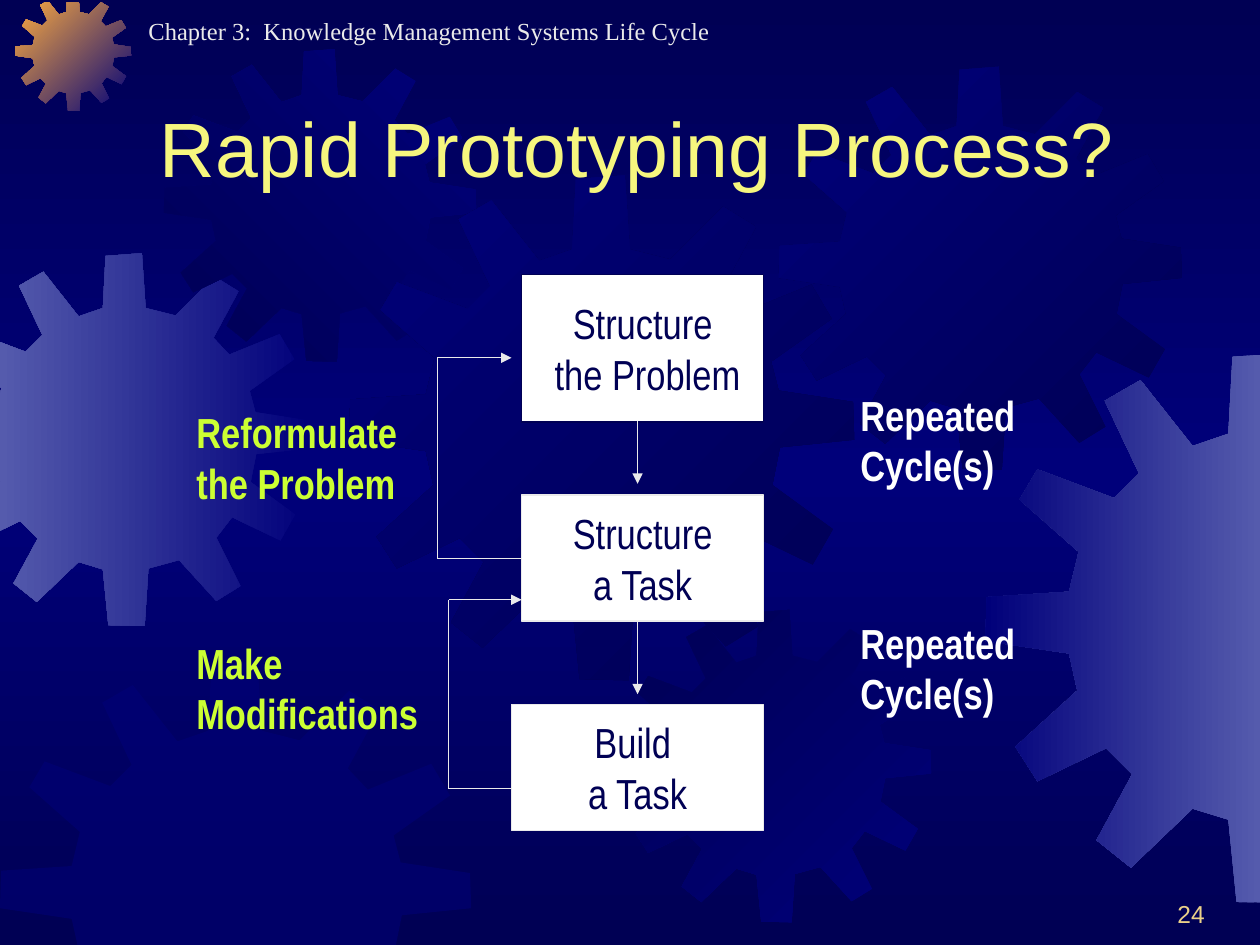
from copy import deepcopy
from lxml.etree import SubElement
from pptx import Presentation
from pptx.dml.color import RGBColor
from pptx.enum.shapes import MSO_CONNECTOR, MSO_SHAPE
from pptx.enum.text import MSO_ANCHOR, PP_ALIGN
from pptx.oxml.ns import qn
from pptx.util import Inches, Pt

THEME = {
    "navy": "000054", "blue": "00007A", "haze": "555BAD", "gold": "FCAB40",
    "white": "FFFFFF", "pale": "EAEAEA", "lemon": "F6F67E", "lime": "CCFF33",
    "sand": "EBD189", "rule": Pt(0.75),
}
STYLE = {
    "head": {"name": "Times New Roman", "size": Pt(14), "color": "pale"},
    "title": {"name": "Arial", "size": Pt(44), "color": "lemon"},
    "step": {"name": "Arial Narrow", "size": Pt(24), "color": "navy"},
    "loop": {"name": "Arial Narrow", "size": Pt(24), "bold": True, "color": "lime"},
    "cycle": {"name": "Arial Narrow", "size": Pt(24), "bold": True, "color": "white"},
    "page": {"name": "Arial", "size": Pt(14), "color": "sand"},
}
SIZE = (10, 7.5)
EDGES = ((0, 0, 1), (0, 10, -1), (1, 0.02, 1), (1, 7.5, -1))
SPAN = 401
GEAR = [
    (255, 67), (223, 59), (219, 0), (180, 3), (177, 59), (151, 68),
    (113, 20), (87, 35), (112, 88), (94, 106), (38, 85), (25, 107),
    (68, 145), (61, 174), (1, 178), (0, 210), (61, 219), (67, 246),
    (22, 287), (38, 312), (88, 288), (107, 307), (81, 355), (106, 375),
    (151, 332), (177, 340), (183, 400), (222, 401), (226, 339), (259, 330),
    (299, 374), (325, 358), (299, 306), (316, 284), (368, 309), (384, 281),
    (336, 246), (342, 216), (401, 210), (400, 180), (341, 171), (335, 148),
    (383, 114), (367, 87), (313, 109), (296, 91), (323, 41), (297, 25),
]
GEARS = [
    (-0.49, 2.01, 2.96, ("blue", "haze"), 180),
    (0.12, -0.04, 0.92, ("blue", "gold"), 135),
    (1.3, 0.39, 2.48, ("blue", "navy"), 225),
    (2.77, 1.39, 4.01, ("navy", "blue"), 135),
    (0, 5.25, 3.74, ("blue",), None),
    (4.91, 4.84, 2.48, ("blue", "navy"), 135),
    (6.18, 0.53, 3.2, ("navy", "blue"), 135),
    (7.82, 2.8, 4.37, ("haze", "blue"), 180),
]
STEPS = [
    (("Structure", " the Problem"), (4.14, 2.18, 1.92, 1.17), "navy"),
    (("Structure", "a Task"), (4.14, 3.93, 1.92, 1), "pale"),
    (("Build ", "a Task"), (4.06, 5.59, 2, 1), "pale"),
]
LOOPS = [(4.14, 4.43, 3.47, 2.84, 4.06), (4.06, 6.26, 3.56, 4.76, 4.14)]
DROPS = [(5.06, 3.34, 3.84), (5.06, 4.93, 5.51)]
LABELS = [
    (("Chapter 3:  Knowledge Management Systems Life Cycle",),
     (0.08, 0.08, 7.17, 0.34), "head", {}, {"marL": str(Inches(1)), "indent": "0"}),
    (("Rapid Prototyping Process?",), (1.17, 0.33, 8.5, 1.25), "title",
     {"vertical_anchor": MSO_ANCHOR.BOTTOM}, {}),
    (("Make Modifications",), (1.46, 5.01, 1.97, 0.9), "loop", {}, {}),
    (("Reformulate the Problem",), (1.46, 3.18, 1.81, 0.9), "loop", {}, {}),
    (("Repeated", "Cycle(s)"), (6.73, 3.04, 1.43, 0.9), "cycle", {}, {}),
    (("Repeated Cycle(s)",), (6.73, 4.85, 1.5, 0.9), "cycle", {}, {}),
    (("24",), (7.58, 6.92, 2.08, 0.5), "page",
     {"vertical_anchor": MSO_ANCHOR.BOTTOM}, {"algn": "r"}),
]


def hue(name):
    return RGBColor.from_string(THEME[name])


def inch(nums):
    return [Inches(n) for n in nums]


def put(obj, vals):
    for key, val in vals.items():
        setattr(obj, key, val)


def blend(fill, names, angle):
    fill.gradient()
    fill.gradient_angle = angle
    stops = fill.gradient_stops
    for stop, name, pos in zip(stops, names, (0, 1)):
        stop.color.rgb = hue(name)
        stop.position = pos


def clip(pts, axis, edge, sign):
    out = []
    for a, b in zip(pts[-1:] + pts[:-1], pts):
        da, db = ((p[axis] - edge) * sign for p in (a, b))
        if (da < 0) != (db < 0):
            t = da / (da - db)
            out.append(tuple(m + (n - m) * t for m, n in zip(a, b)))
        if db >= 0:
            out.append(b)
    return out


def stroke(line, name):
    line.color.rgb = hue(name)
    line.width = THEME["rule"]


def gear(shapes, left, top, size, names, angle):
    pts = [(left + x * size / SPAN, top + y * size / SPAN) for x, y in GEAR]
    for edge in EDGES:
        pts = clip(pts, *edge)
    pts = [inch(p) for p in pts]
    pen = shapes.build_freeform(*pts[0])
    pen.add_line_segments(pts[1:], close=True)
    shape = pen.convert_to_shape()
    shape.shadow.inherit = False
    shape.line.fill.background()
    if angle is None:
        shape.fill.solid()
        shape.fill.fore_color.rgb = hue(names[0])
        tint = next(shape._element.spPr.iter(qn("a:srgbClr")))
        SubElement(tint, qn("a:alpha"), val="50000")
    else:
        blend(shape.fill, names, angle)


def write(shape, lines, style, frame, para):
    body = shape.text_frame
    put(body, {"word_wrap": len(lines) == 1, **frame})
    body.text = "\n".join(lines)
    font = dict(STYLE[style])
    tone = hue(font.pop("color"))
    for p in body.paragraphs:
        for key, val in para.items():
            p._p.get_or_add_pPr().set(key, val)
        for run in p.runs:
            put(run.font, font)
            run.font.color.rgb = tone


def link(shapes, start, end, tip=False):
    line = shapes.add_connector(MSO_CONNECTOR.STRAIGHT, *inch(start + end))
    stroke(line.line, "pale")
    if tip:
        SubElement(line.line._get_or_add_ln(), qn("a:tailEnd"), type="triangle")
    SubElement(line._element.spPr, qn("a:effectLst"))
    return line


def main():
    """Build the rapid prototyping slide."""
    deck = Presentation()
    put(deck, dict(zip(("slide_width", "slide_height"), inch(SIZE))))
    slide = deck.slides.add_slide(deck.slide_layouts[6])
    shapes = slide.shapes
    back = slide.background.fill
    blend(back, ("navy", "navy"), 270)
    first = next(slide._element.iter(qn("a:gs")))
    first.addnext(deepcopy(first))
    mid = back.gradient_stops[1]
    mid.position = 0.5
    mid.color.rgb = hue("blue")
    for item in GEARS:
        gear(shapes, *item)
    boxes = []
    for lines, area, edge in STEPS:
        box = shapes.add_shape(MSO_SHAPE.RECTANGLE, *inch(area))
        box.shadow.inherit = False
        box.fill.solid()
        box.fill.fore_color.rgb = hue("white")
        stroke(box.line, edge)
        write(box, lines, "step", {"vertical_anchor": MSO_ANCHOR.MIDDLE}, {"algn": "ctr"})
        boxes.append(box)
    outs = []
    for x, low, spine, high, tip in LOOPS:
        outs.append(link(shapes, (x, low), (spine, low)))
        link(shapes, (spine, low), (spine, high))
        link(shapes, (spine, high), (tip, high), True)
    outs[0].begin_connect(boxes[1], 1)
    for x, top, low in DROPS:
        link(shapes, (x, top), (x, low), True)
    for lines, area, *rest in LABELS:
        write(shapes.add_textbox(*inch(area)), lines, *rest)
    deck.save("out.pptx")


if __name__ == "__main__":
    main()
